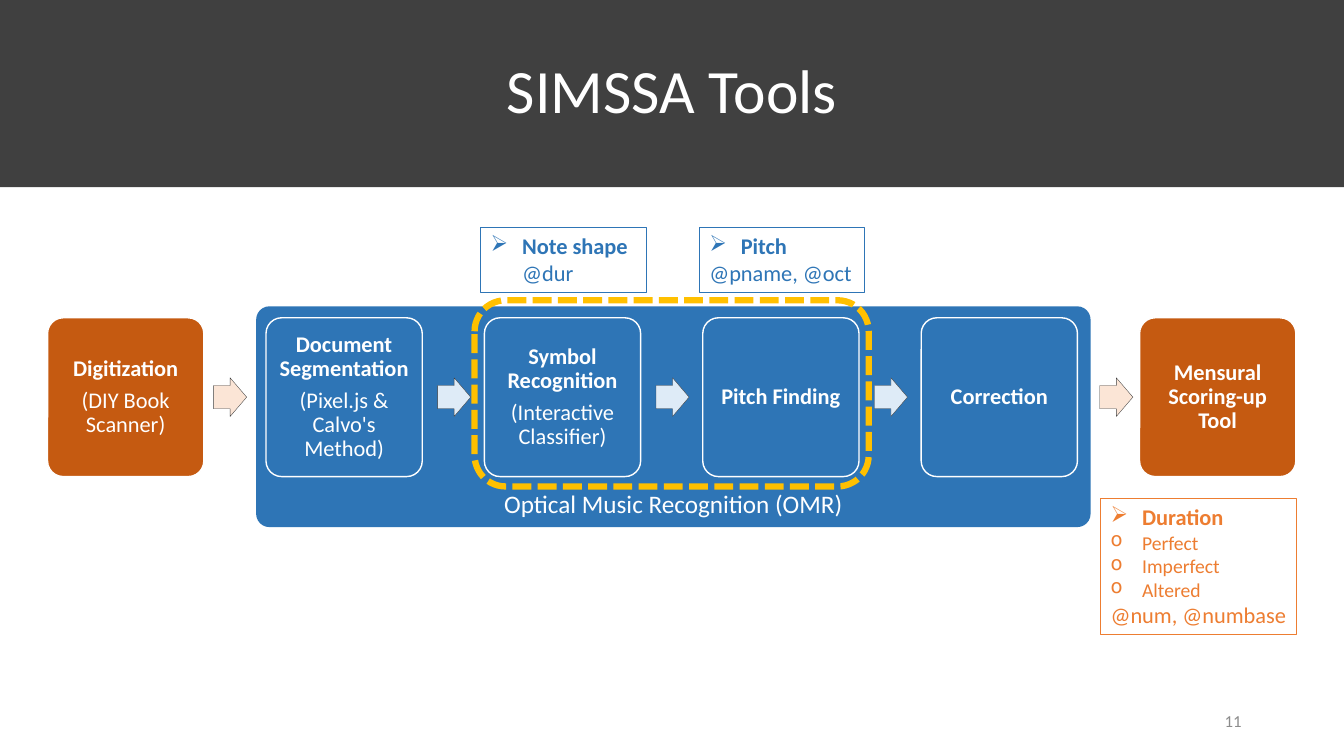
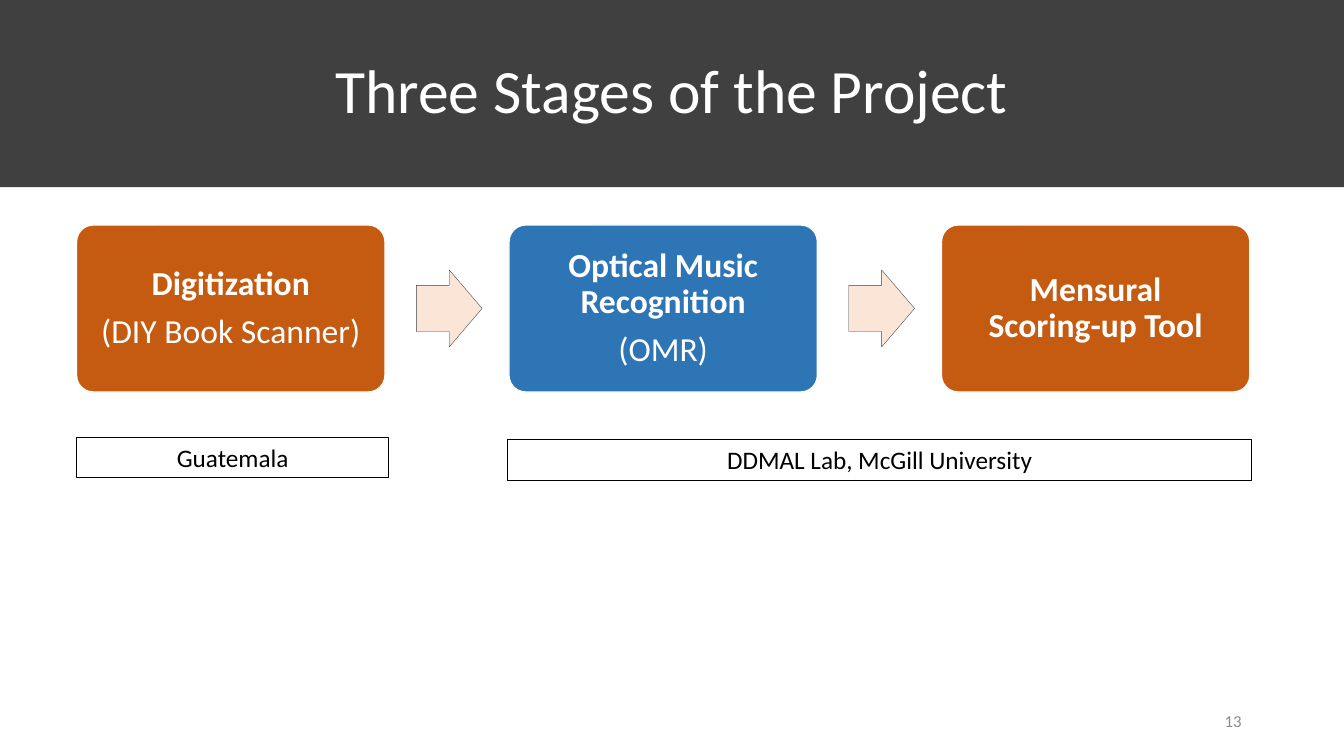
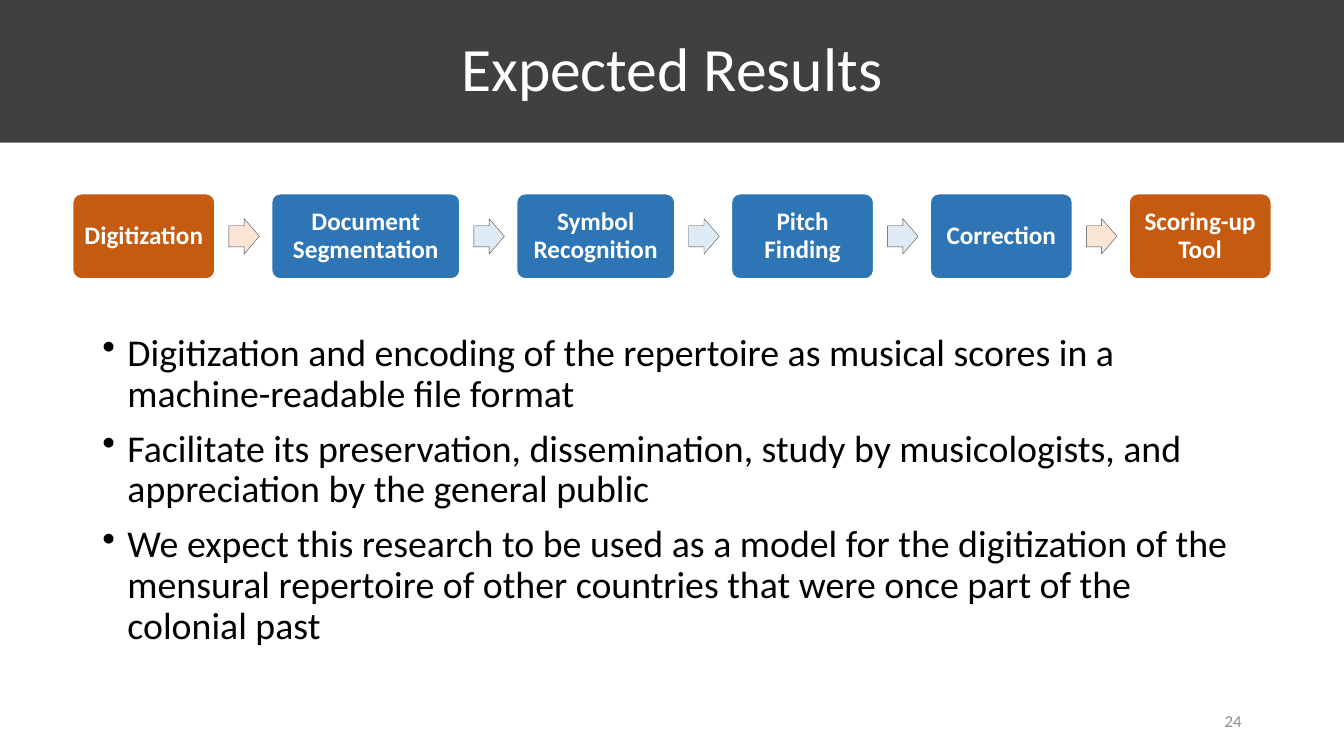
from dataclasses import dataclass
from itertools import pairwise

from lxml import etree
from pptx import Presentation
from pptx import util as u
from pptx.dml.color import RGBColor
from pptx.enum import dml, shapes, text
from pptx.oxml.ns import qn
from pptx.shapes.autoshape import Shape
from pptx.slide import Slide

FONT = "Calibri"
HUES = {
    "white": "FFFFFF", "black": "000000", "dark": "404040", "grey": "8C8C8C",
    "blue": "2E75B6", "rust": "C55A11", "sky": "DEEBF7", "peach": "FBE5D6",
    "orange": "ED7D31", "gold": "FFC000",
}
KIND = shapes.MSO_SHAPE
SIDE = text.PP_ALIGN
HOLD = text.MSO_ANCHOR
PADS = (7.2, 3.6, 7.2, 3.6)


@dataclass(frozen=True)
class Para:
    words: str
    size: float
    hue: str = "white"
    bold: bool = False
    side: SIDE = SIDE.CENTER
    pitch: float = 1.0
    left: float = 0
    mark: str = ""
    before: float = 0
    after: float = 0


@dataclass(frozen=True)
class Area:
    left: float
    top: float
    width: float
    height: float


@dataclass(frozen=True)
class Step:
    name: str
    hue: str
    width: float
    note: str = ""


@dataclass(frozen=True)
class Row:
    left: float
    top: float
    height: float
    gap: float
    size: float
    pad: float
    arrow: tuple[float, float]
    leads: tuple[float, ...]
    steps: tuple[Step, ...]


@dataclass(frozen=True)
class Tag:
    area: Area
    hue: str
    paras: tuple[Para, ...]


def tint(hue: str) -> RGBColor:
    return RGBColor.from_string(HUES[hue])


def write(box: Shape, paras: tuple[Para, ...], hold: HOLD = HOLD.MIDDLE,
          pads: tuple[float, ...] = PADS) -> None:
    frame = box.text_frame
    frame.word_wrap = True
    frame.vertical_anchor = hold
    frame.margin_left, frame.margin_top, frame.margin_right, frame.margin_bottom = map(u.Pt, pads)
    for rank, para in enumerate(paras):
        line = frame.add_paragraph() if rank else frame.paragraphs[0]
        line.text = para.words
        props = line._p.get_or_add_pPr()
        if para.left:
            props.set("marL", str(u.Pt(para.left)))
        if para.mark:
            props.set("indent", str(-u.Pt(para.left)))
            etree.SubElement(props, qn("a:buChar")).set("char", para.mark)
        line.alignment = para.side
        line.line_spacing = para.pitch
        line.space_before = u.Pt(para.before)
        line.space_after = u.Pt(para.after)
        font = line.font
        font.name, font.size, font.bold = FONT, u.Pt(para.size), para.bold
        font.color.rgb = tint(para.hue)


def draw(slide: Slide, kind: KIND, area: Area, fill: str = "", edge: str = "",
         weight: float = 1, bends: tuple[float, ...] = ()) -> Shape:
    shape = slide.shapes.add_shape(
        kind, u.Pt(area.left), u.Pt(area.top), u.Pt(area.width), u.Pt(area.height))
    shape.shadow.inherit = False
    for rank, bend in enumerate(bends):
        shape.adjustments[rank] = bend
    if fill:
        shape.fill.solid()
        shape.fill.fore_color.rgb = tint(fill)
    else:
        shape.fill.background()
    if edge:
        shape.line.color.rgb = tint(edge)
        shape.line.width = u.Pt(weight)
    else:
        shape.line.fill.background()
    return shape


def place(slide: Slide, area: Area, paras: tuple[Para, ...], hold: HOLD) -> None:
    box = slide.shapes.add_textbox(
        u.Pt(area.left), u.Pt(area.top), u.Pt(area.width), u.Pt(area.height))
    write(box, paras, hold)


def frame_page(slide: Slide, title: str, page: int, depth: float) -> None:
    band = draw(slide, KIND.RECTANGLE, Area(0, 0, 960, depth), "dark")
    write(band, (Para(title, 44, pitch=0.9),))
    number = Para(str(page), 12, "grey", side=SIDE.RIGHT)
    place(slide, Area(678, 500.5, 216, 28.8), (number,), HOLD.MIDDLE)


def draw_row(slide: Slide, row: Row) -> None:
    left = row.left
    ends = []
    for step in row.steps:
        area = Area(left, row.top, step.width, row.height)
        box = draw(slide, KIND.ROUNDED_RECTANGLE, area, step.hue, "white", 1, (0.1,))
        after = 0.35 * row.size if step.note else 0
        paras = [Para(step.name, row.size, bold=True, pitch=0.9, after=after)]
        if step.note:
            paras.append(Para(step.note, row.size, pitch=0.9))
        write(box, tuple(paras), pads=(row.pad,) * 4)
        ends.append(left + step.width)
        left += step.width + row.gap
    wide, high = row.arrow
    top = row.top + (row.height - high) / 2
    for (one, two), end, lead in zip(pairwise(row.steps), ends, row.leads):
        fill = "sky" if one.hue == two.hue == "blue" else "peach"
        draw(slide, KIND.RIGHT_ARROW, Area(end + lead, top, wide, high),
             fill, "dark", 0.25, (0.6, 0.5))


def draw_tag(slide: Slide, tag: Tag, fill: str = "white") -> None:
    box = draw(slide, KIND.RECTANGLE, tag.area, fill, tag.hue, 0.75)
    write(box, tag.paras, HOLD.TOP)


def head(words: str, hue: str) -> Para:
    return Para(words, 16, hue, True, SIDE.LEFT, left=22.5, mark="➢")


def code(words: str, hue: str, left: float = 0) -> Para:
    return Para(words, 16, hue, side=SIDE.LEFT, left=left)


def item(words: str) -> Para:
    return Para(words, 14, "orange", side=SIDE.LEFT, left=22.5, mark="o")


TOOLS = Row(34, 227, 113.4, 44.4, 16, 4.6, (23.6, 27.6), (7, 11, 11, 11, 16), (
    Step("Digitization", "rust", 111.6, "(DIY Book Scanner)"),
    Step("Document Segmentation", "blue", 111.6, "(Pixel.js & Calvo's Method)"),
    Step("Symbol Recognition", "blue", 111.6, "(Interactive Classifier)"),
    Step("Pitch Finding", "blue", 111.6),
    Step("Correction", "blue", 111.6),
    Step("Mensural Scoring-up Tool", "rust", 111.6),
))
STAGES = Row(54.7, 160.7, 119.3, 88.6, 24, 7.2, (47, 55), (22.4, 22.4), (
    Step("Digitization", "rust", 220.3, "(DIY Book Scanner)"),
    Step("Optical Music Recognition", "blue", 220.3, "(OMR)"),
    Step("Mensural\vScoring-up Tool", "rust", 220.3),
))
RESULTS = Row(52, 138.4, 60.8, 40.5, 18, 5, (21.8, 25.2), (10,) * 5, (
    Step("Digitization", "rust", 101.5),
    Step("Document Segmentation", "blue", 134.5),
    Step("Symbol Recognition", "blue", 113),
    Step("Pitch Finding", "blue", 101.5),
    Step("Correction", "blue", 101.5),
    Step("Scoring-up Tool", "rust", 101.5),
))
TRAITS = (
    Tag(Area(343.4, 162.5, 118.2, 46.4), "blue",
        (head("Note shape", "blue"), code("@dur", "blue", 22.5))),
    Tag(Area(499.6, 162.5, 118.2, 46.4), "blue",
        (head("Pitch", "blue"), code("@pname, @oct", "blue"))),
    Tag(Area(786.2, 356.2, 140, 97), "orange",
        (head("Duration", "orange"), item("Perfect"), item("Imperfect"),
         item("Altered"), code("@num, @numbase", "orange"))),
)
SITES = (
    Tag(Area(54.7, 312.3, 223, 29), "black", (Para("Guatemala", 18, "black"),)),
    Tag(Area(362.7, 314, 531.3, 29), "black",
        (Para("DDMAL Lab, McGill University", 18, "black"),)),
)
GOALS = (
    "Digitization and encoding of the repertoire as musical scores in a "
    "machine-readable file format",
    "Facilitate its preservation, dissemination, study by musicologists, and "
    "appreciation by the general public",
    "We expect this research to be used as a model for the digitization of the "
    "mensural repertoire of other countries that were once part of the colonial past",
)


def show_tools(slide: Slide) -> None:
    panel = draw(slide, KIND.ROUNDED_RECTANGLE, Area(183, 218.8, 596, 157.7),
                 "blue", bends=(0.06,))
    write(panel, (Para("Optical Music Recognition (OMR)", 18),), HOLD.BOTTOM)
    frame_page(slide, "SIMSSA Tools", 11, 133.7)
    draw_row(slide, TOOLS)
    for tag in TRAITS:
        draw_tag(slide, tag)
    ring = draw(slide, KIND.ROUNDED_RECTANGLE, Area(339, 214.5, 281.5, 133),
                edge="gold", weight=4.5)
    ring.line.dash_style = dml.MSO_LINE.SQUARE_DOT


def show_stages(slide: Slide) -> None:
    frame_page(slide, "Three Stages of the Project", 13, 133.7)
    draw_row(slide, STAGES)
    for tag in SITES:
        draw_tag(slide, tag, "")


def show_results(slide: Slide) -> None:
    frame_page(slide, "Expected Results", 24, 102)
    draw_row(slide, RESULTS)
    goals = tuple(
        Para(goal, 27, "black", side=SIDE.LEFT, pitch=0.9, left=18, mark="•",
             before=10 if rank else 0)
        for rank, goal in enumerate(GOALS))
    place(slide, Area(66, 234.7, 828, 251), goals, HOLD.TOP)


def main() -> None:
    deck = Presentation()
    deck.slide_width, deck.slide_height = u.Pt(960), u.Pt(540)
    for show in (show_tools, show_stages, show_results):
        show(deck.slides.add_slide(deck.slide_layouts[6]))
    deck.save("out.pptx")


if __name__ == "__main__":
    main()
